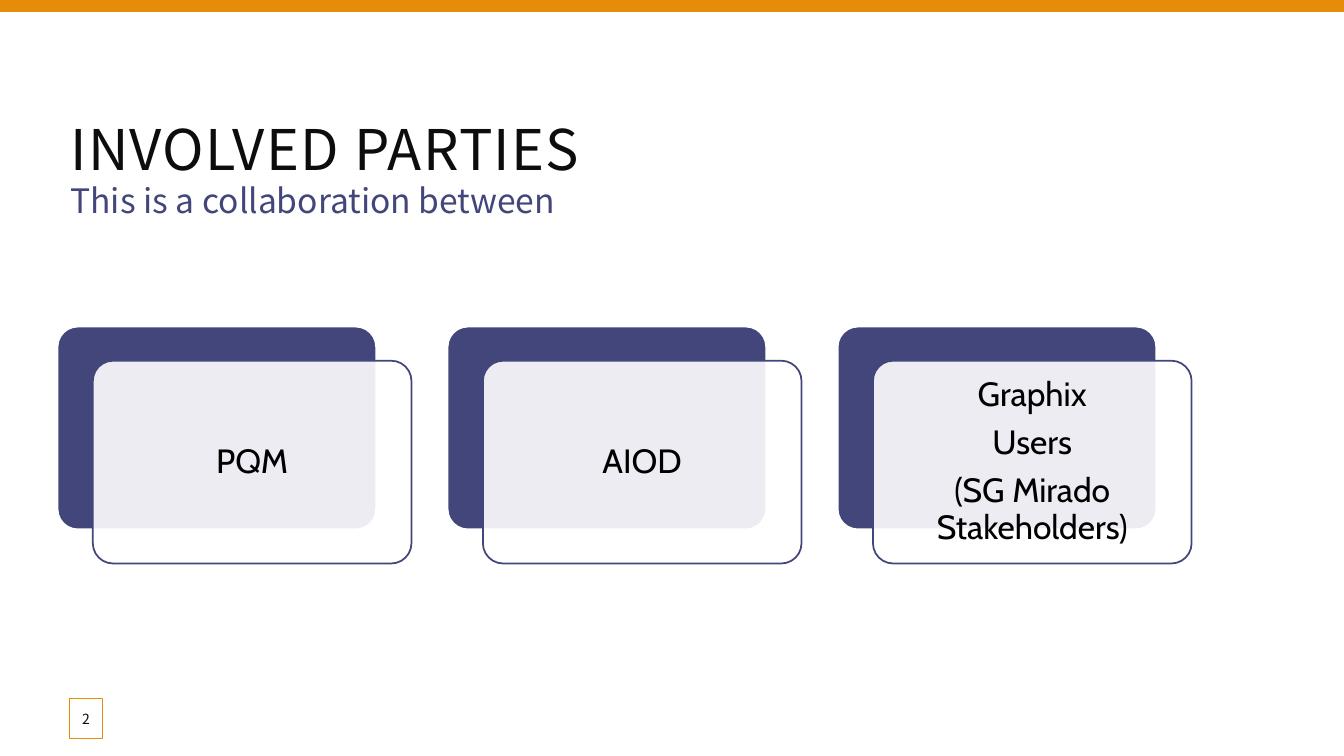
import pptx
import pptx.util
import pptx.dml.color
import pptx.enum.shapes
import pptx.enum.text
import pptx.oxml.ns
import lxml.etree

Cm = pptx.util.Cm
Pt = pptx.util.Pt
RGBColor = pptx.dml.color.RGBColor
MSO_SHAPE = pptx.enum.shapes.MSO_SHAPE
PP_ALIGN = pptx.enum.text.PP_ALIGN
MSO_ANCHOR = pptx.enum.text.MSO_ANCHOR
qn = pptx.oxml.ns.qn

ORANGE = RGBColor(0xE5, 0x8C, 0x09)
INDIGO = RGBColor(0x43, 0x46, 0x7B)
WHITE = RGBColor(0xFF, 0xFF, 0xFF)
BLACK = RGBColor(0x00, 0x00, 0x00)
INK = RGBColor(0x0D, 0x0D, 0x0D)
HEADING_FONT = "Noto Sans CJK SC"
PARTY_FONT = "Cabin"

presentation = pptx.Presentation()
presentation.slide_width = Cm(33.87)
presentation.slide_height = Cm(19.05)
slide = presentation.slides.add_slide(presentation.slide_layouts[1])


def add_panel(kind, left, top, width, height, fill, line=None, weight=1.25, opacity=100):
    panel = slide.shapes.add_shape(kind, Cm(left), Cm(top), Cm(width), Cm(height))
    panel.shadow.inherit = False
    panel.fill.solid()
    panel.fill.fore_color.rgb = fill
    if opacity < 100:
        color = panel.fill._xPr.find(qn("a:solidFill"))[0]
        lxml.etree.SubElement(color, qn("a:alpha"), val=str(opacity * 1000))
    if line is None:
        panel.line.fill.background()
    else:
        panel.line.color.rgb = line
        panel.line.width = Pt(weight)
    if kind == MSO_SHAPE.ROUNDED_RECTANGLE:
        panel.adjustments[0] = 0.1
    return panel


def write(frame, text, font, size, color, align, anchor):
    frame.text = text
    frame.word_wrap = True
    frame.auto_size = pptx.enum.text.MSO_AUTO_SIZE.NONE
    frame.vertical_anchor = anchor
    for paragraph in frame.paragraphs:
        paragraph.alignment = align
        for run in paragraph.runs:
            run.font.name = font
            run.font.size = Pt(size)
            run.font.color.rgb = color


add_panel(MSO_SHAPE.RECTANGLE, 0, 0, 33.87, 0.3, ORANGE)

heading = slide.shapes.title
heading.left, heading.top, heading.width, heading.height = Cm(1.52), Cm(2.74), Cm(30.02), Cm(1.96)
write(heading.text_frame, "INVOLVED PARTIES", HEADING_FONT, 40, INK, PP_ALIGN.LEFT, MSO_ANCHOR.MIDDLE)
heading.text_frame.paragraphs[0].runs[0].font._element.set("spc", "100")

intro = slide.placeholders[1]
intro.left, intro.top, intro.width, intro.height = Cm(1.52), Cm(4.65), Cm(30.1), Cm(1.17)
write(intro.text_frame, "This is a collaboration between", HEADING_FONT, 24, INDIGO, PP_ALIGN.LEFT, MSO_ANCHOR.TOP)
intro.text_frame.margin_top = 0
intro_line = intro.text_frame.paragraphs[0]
intro_line.line_spacing = 0.9
intro_line.space_before = Pt(0)
intro_line.space_after = Pt(2)
intro_format = intro_line._p.get_or_add_pPr()
intro_format.set("marL", "0")
intro_format.set("indent", "0")
lxml.etree.SubElement(intro_format, qn("a:buNone"))

page_number = add_panel(MSO_SHAPE.RECTANGLE, 1.75, 17.6, 0.84, 1.02, WHITE, ORANGE, 0.75, 82)
write(page_number.text_frame, "2", HEADING_FONT, 10, INK, PP_ALIGN.CENTER, MSO_ANCHOR.MIDDLE)
page_number.text_frame.margin_left = page_number.text_frame.margin_right = 0

parties = ["PQM", "AIOD", "Graphix\nUsers\n(SG Mirado Stakeholders)"]
for position, party in enumerate(parties):
    left = 1.45 + position * 9.83
    add_panel(MSO_SHAPE.ROUNDED_RECTANGLE, left, 8.23, 8.03, 5.11, INDIGO, WHITE)
    card = add_panel(MSO_SHAPE.ROUNDED_RECTANGLE, left + 0.89, 9.09, 8.03, 5.11, WHITE, INDIGO, opacity=90)
    label = card.text_frame
    write(label, party, PARTY_FONT, 24, BLACK, PP_ALIGN.CENTER, MSO_ANCHOR.MIDDLE)
    label.margin_left = label.margin_right = label.margin_top = label.margin_bottom = Cm(0.25)
    for paragraph in label.paragraphs:
        paragraph.line_spacing = 0.9
        paragraph.space_after = Pt(8.4)

presentation.save("out.pptx")
